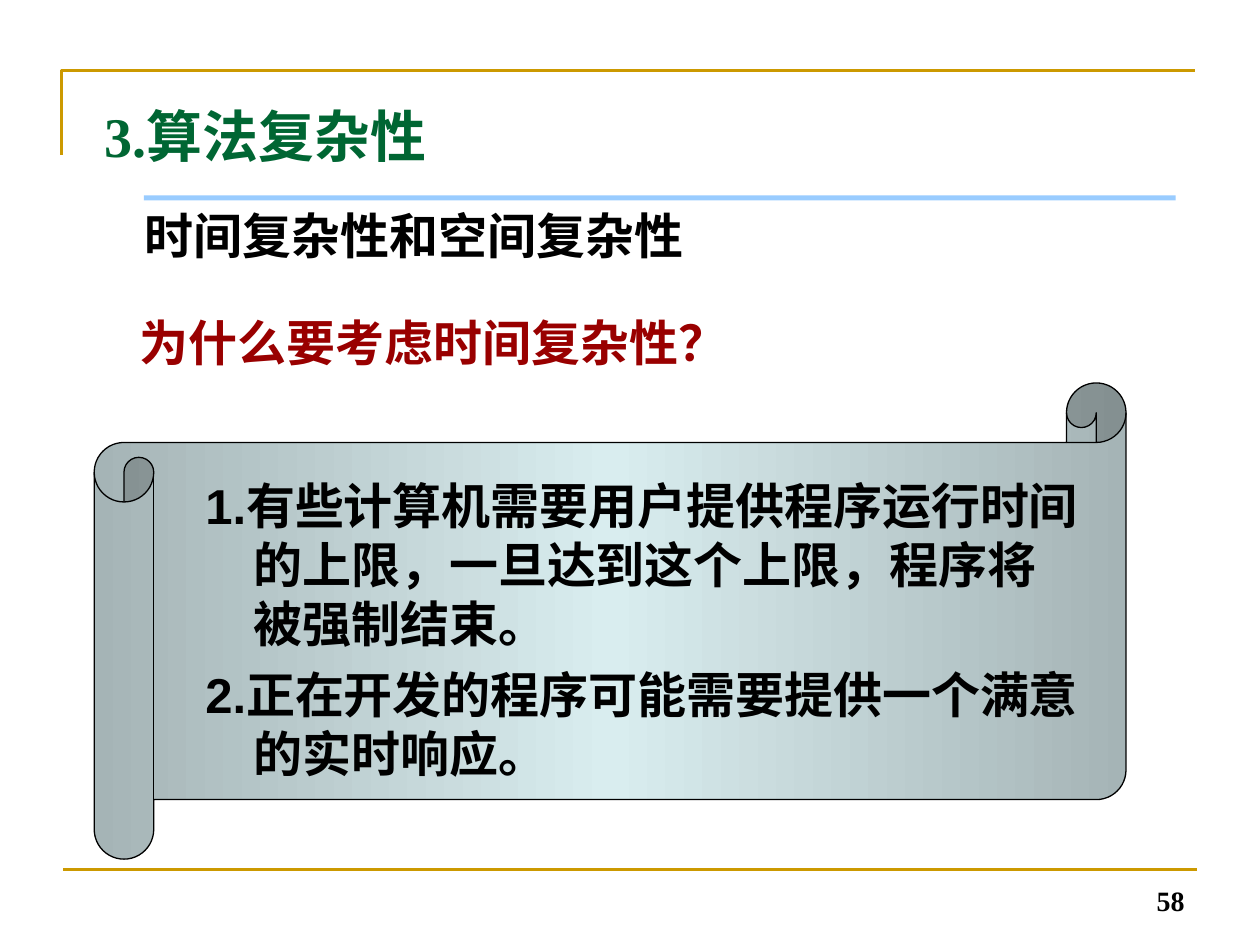
from copy import deepcopy

from lxml import etree
from pptx import Presentation
from pptx.dml.color import RGBColor
from pptx.enum import shapes as kinds, text as t
from pptx.oxml.ns import qn
from pptx.util import Cm, Pt

GOLD = RGBColor(0xCC, 0x99, 0x00)
GREEN = RGBColor(0x00, 0x66, 0x33)
RED = RGBColor(0x99, 0x00, 0x00)
BLACK = RGBColor(0, 0, 0)
SKY = RGBColor(0x99, 0xCC, 0xFF)
GREY = RGBColor(0xA5, 0xB4, 0xB6)
PALE = RGBColor(0xD9, 0xED, 0xEF)
SERIF, SANS = "Times New Roman", "Arial"

REASONS = [
    "1.有些计算机需要用户提供程序运行时间的上限，一旦达到这个上限，程序将被强制结束。",
    "2.正在开发的程序可能需要提供一个满意的实时响应。",
]
# paragraphs, (left, top, width, height) in cm, font, size, colour
REASON_TEXT = (REASONS, (3.89, 9.47, 18.19, 6.6), SANS, 28, BLACK)
TOPIC = (["时间复杂性和空间复杂性"], (2.67, 4.01, 22.35, 1.45), SERIF, 28, BLACK)
TITLE = (["3.算法复杂性"], (1.85, 1.93, 22.86, 3.18), SERIF, 32, GREEN)
QUESTION = (["为什么要考虑时间复杂性？"], (2.57, 6.17, 22.35, 1.45), SANS, 28, RED)
PAGE_NUMBER = (["58"], (18.21, 17.35, 5.92, 1.27), SERIF, 16, BLACK)

CORNER = [(1.24, 3.12), (1.24, 1.42), (24.1, 1.42)]
FOOT_LINE = (1.27, 17.53, 24.13, 17.53)
SCROLL = (1.9, 7.72, 20.8, 9.6)
BAR = (2.9, 3.94, 20.8, 0.1)
HANGING = Cm(0.97)


def lengths(values):
    return [Cm(value) for value in values]


def add_text(slide, content, align=t.PP_ALIGN.LEFT, anchor=t.MSO_ANCHOR.TOP, hanging=0):
    lines, place, font, size, colour = content
    frame = slide.shapes.add_textbox(*lengths(place)).text_frame
    frame.word_wrap = True
    frame.vertical_anchor = anchor
    for index, line in enumerate(lines):
        paragraph = frame.add_paragraph() if index else frame.paragraphs[0]
        paragraph.alignment = align
        if index:
            paragraph.space_before = Pt(7)
        if hanging:
            properties = paragraph._p.get_or_add_pPr()
            properties.set("marL", str(hanging))
            properties.set("indent", str(-hanging))
        run = paragraph.add_run()
        run.text = line
        run.font.name = font
        run.font.size = Pt(size)
        run.font.bold = True
        run.font.color.rgb = colour


def add_frame_lines(slide):
    start, *rest = [lengths(point) for point in CORNER]
    builder = slide.shapes.build_freeform(*start)
    builder.add_line_segments(rest, close=False)
    corner = builder.convert_to_shape()
    corner.shadow.inherit = False
    corner.fill.background()
    foot = slide.shapes.add_connector(kinds.MSO_CONNECTOR.STRAIGHT, *lengths(FOOT_LINE))
    etree.SubElement(foot._element.spPr, qn("a:effectLst"))
    for shape in (corner, foot):
        shape.line.color.rgb = GOLD
        shape.line.width = Pt(1.5)


def add_scroll(slide):
    scroll = slide.shapes.add_shape(kinds.MSO_SHAPE.HORIZONTAL_SCROLL, *lengths(SCROLL))
    scroll.shadow.inherit = False
    scroll.adjustments[0] = 0.125
    scroll.line.color.rgb = BLACK
    scroll.line.width = Pt(0.75)
    fill = scroll.fill
    fill.gradient()
    fill.gradient_angle = 0
    stop_list = scroll._element.spPr.find(qn("a:gradFill")).find(qn("a:gsLst"))
    stop_list.append(deepcopy(stop_list[0]))
    for stop, position, colour in zip(fill.gradient_stops, (0, 0.5, 1), (GREY, PALE, GREY)):
        stop.position = position
        stop.color.rgb = colour


def add_bar(slide):
    bar = slide.shapes.add_shape(kinds.MSO_SHAPE.RECTANGLE, *lengths(BAR))
    bar.shadow.inherit = False
    bar.fill.solid()
    bar.fill.fore_color.rgb = SKY
    bar.line.fill.background()


def main():
    presentation = Presentation()
    presentation.slide_width, presentation.slide_height = Cm(25.4), Cm(19.05)
    slide = presentation.slides.add_slide(presentation.slide_layouts[6])
    add_frame_lines(slide)
    add_text(slide, PAGE_NUMBER, t.PP_ALIGN.RIGHT, t.MSO_ANCHOR.BOTTOM)
    add_scroll(slide)
    add_bar(slide)
    add_text(slide, REASON_TEXT, hanging=HANGING)
    for content in (TOPIC, TITLE, QUESTION):
        add_text(slide, content)
    presentation.save("out.pptx")


if __name__ == "__main__":
    main()
